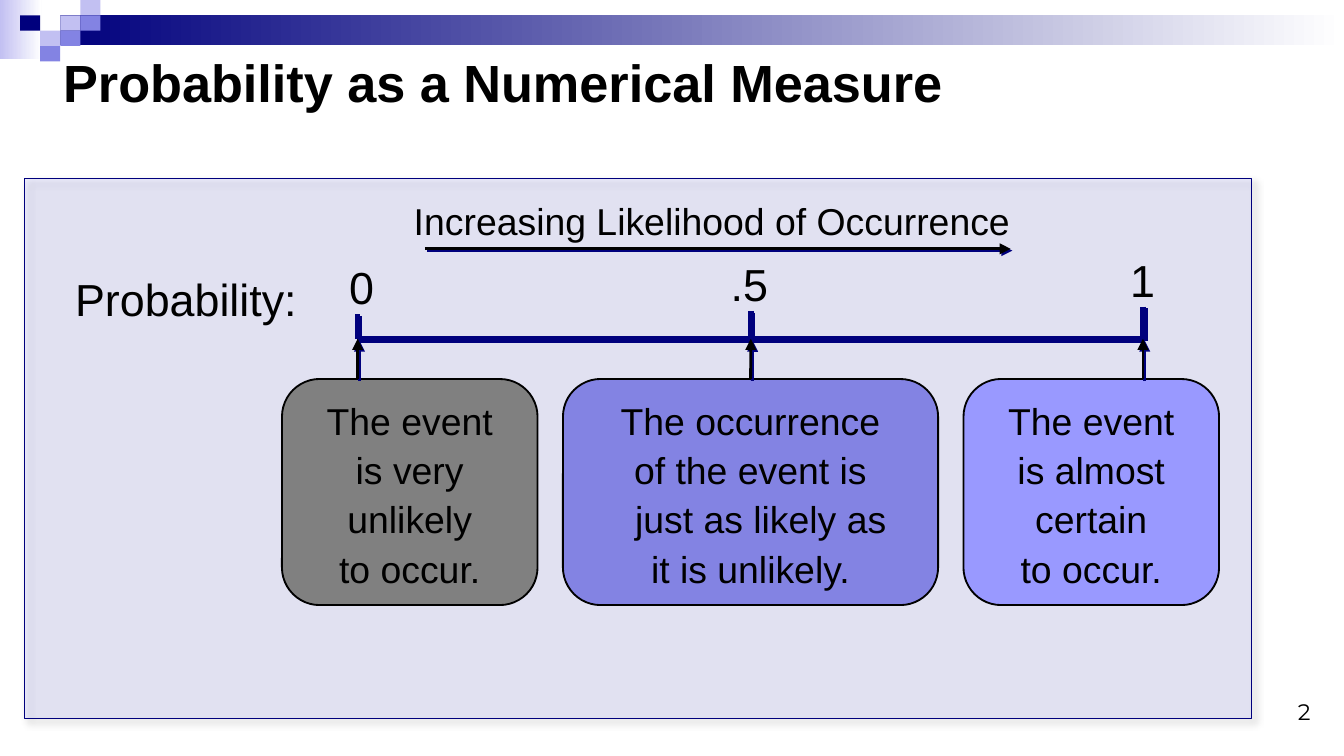
from dataclasses import dataclass
from typing import Any, NamedTuple

from lxml.etree import SubElement
from pptx import Presentation
from pptx.dml.color import RGBColor
from pptx.enum.shapes import MSO_CONNECTOR, MSO_SHAPE
from pptx.enum.text import MSO_ANCHOR, PP_ALIGN
from pptx.oxml.ns import qn
from pptx.util import Cm, Pt


@dataclass(frozen=True)
class Theme:
    navy: str = "00007D"
    pale: str = "C2C0F2"
    violet: str = "8383E3"
    lilac: str = "9999FF"
    grey: str = "808080"
    black: str = "000000"
    white: str = "FFFFFF"
    font: str = "Arial"
    number_font: str = "Montserrat"
    title_size: int = 28
    label_size: int = 24
    body_size: int = 20
    number_size: int = 12


class Box(NamedTuple):
    left: float
    top: float
    width: float
    height: float

    def lengths(self) -> list[Cm]:
        return [Cm(value) for value in self]


class Tile(NamedTuple):
    column: int
    row: int
    color: str


class Label(NamedTuple):
    text: str
    box: Box
    size: int


class Outcome(NamedTuple):
    lines: tuple[str, ...]
    width: float
    color: str
    scale_x: float
    tick_top: float
    indents: dict[int, float]


THEME = Theme()
TILE_WIDTH, TILE_HEIGHT = 0.38, 0.29
SCALE_Y = 6.4
OUTCOME_LEFT, OUTCOME_TOP, OUTCOME_HEIGHT, OUTCOME_GAP = 5.33, 7.16, 4.27, 0.48

TILES = [
    Tile(3, 1, THEME.pale),
    Tile(4, 0, THEME.pale),
    Tile(4, 1, THEME.violet),
    Tile(2, 2, THEME.pale),
    Tile(1, 1, THEME.navy),
    Tile(3, 2, THEME.violet),
    Tile(2, 3, THEME.violet),
]
LABELS = [
    Label("0", Box(6.35, 4.78, 1.22, 1.27), THEME.label_size),
    Label("1", Box(21.11, 4.65, 0.94, 1.27), THEME.label_size),
    Label(".5", Box(13.56, 4.72, 1.24, 1.27), THEME.label_size),
    Label("Increasing Likelihood of Occurrence", Box(7.57, 3.61, 11.99, 1.12), THEME.body_size),
    Label("Probability:", Box(1.17, 5, 4.95, 1.27), THEME.label_size),
]
OUTCOMES = [
    Outcome(("The event", "is very", "unlikely", "to occur."), 4.83, THEME.grey, 6.76, 5.94, {}),
    Outcome(("The occurrence", "of the event is", "just as likely as", "it is unlikely."),
            7.09, THEME.violet, 14.19, 5.87, {2: 0.39}),
    Outcome(("The event", "is almost", "certain", "to occur."), 4.83, THEME.lilac, 21.6, 5.79, {}),
]


def rgb(color: str) -> RGBColor:
    return RGBColor.from_string(color)


def apply(target: Any, values: dict[str, Any]) -> None:
    for name, value in values.items():
        setattr(target, name, value)


def add_shadow(shape: Any, color: str, opacity: int, blur: float, distance: float) -> None:
    properties = shape._element.spPr
    effects = properties.find(qn("a:effectLst"))
    if effects is None:
        effects = SubElement(properties, qn("a:effectLst"))
    shadow = SubElement(effects, qn("a:outerShdw"), blurRad=str(Pt(blur)),
                        dist=str(Pt(distance)), dir="2700000", algn="tl", rotWithShape="0")
    tint = SubElement(shadow, qn("a:srgbClr"), val=color)
    SubElement(tint, qn("a:alpha"), val=str(opacity * 1000))


def add_block(shapes: Any, box: Box, color: str, fade: bool = False,
              outline: str | None = None, weight: float = 1,
              kind: MSO_SHAPE = MSO_SHAPE.RECTANGLE) -> Any:
    block = shapes.add_shape(kind, *box.lengths())
    block.shadow.inherit = False
    if fade:
        block.fill.gradient()
        block.fill.gradient_angle = 0
        for stop, tint in zip(block.fill.gradient_stops, (color, THEME.white)):
            stop.color.rgb = rgb(tint)
    else:
        block.fill.solid()
        block.fill.fore_color.rgb = rgb(color)
    if outline:
        block.line.color.rgb = rgb(outline)
        block.line.width = Pt(weight)
    else:
        block.line.fill.background()
    return block


def add_line(shapes: Any, start: tuple[float, float], end: tuple[float, float],
             color: str, weight: float, arrow: bool = False) -> Any:
    line = shapes.add_connector(MSO_CONNECTOR.STRAIGHT,
                                *[Cm(value) for value in (*start, *end)])
    line.line.color.rgb = rgb(color)
    line.line.width = Pt(weight)
    if arrow:
        SubElement(line.line._get_or_add_ln(), qn("a:tailEnd"), type="triangle")
    add_shadow(line, THEME.navy, 100, 0, 1.4)
    return line


def write(shape: Any, lines: tuple[str, ...], size: int, font: str = THEME.font,
          bold: bool = False, frame_format: dict[str, Any] | None = None,
          paragraph_format: dict[str, Any] | None = None) -> None:
    frame = shape.text_frame
    frame.text = "\n".join(lines)
    apply(frame, {"word_wrap": True} | (frame_format or {}))
    for paragraph in frame.paragraphs:
        apply(paragraph, paragraph_format or {})
        for run in paragraph.runs:
            apply(run.font, {"name": font, "size": Pt(size), "bold": bold})
            run.font.color.rgb = rgb(THEME.black)


def draw_header(shapes: Any) -> None:
    header = shapes.add_group_shape().shapes
    add_block(header, Box(0, 0, 0.79, 1.12), THEME.pale, fade=True)
    add_block(header, Box(1.14, 0.28, 24.26, 0.58), THEME.navy, fade=True)
    for tile in TILES:
        add_block(header, Box(tile.column * TILE_WIDTH, tile.row * TILE_HEIGHT,
                              TILE_WIDTH, TILE_HEIGHT), tile.color)


def draw_panel(shapes: Any) -> None:
    panel = add_block(shapes, Box(0.46, 3.38, 23.19, 10.19), THEME.lilac,
                      outline=THEME.navy, weight=0.5)
    tint = panel._element.spPr.find(qn("a:solidFill")).find(qn("a:srgbClr"))
    SubElement(tint, qn("a:alpha"), val="16000")
    add_shadow(panel, THEME.black, 40, 4, 3)


def draw_outcomes(shapes: Any) -> None:
    left = OUTCOME_LEFT
    for outcome in OUTCOMES:
        x = outcome.scale_x
        add_line(shapes, (x, outcome.tick_top), (x, SCALE_Y), THEME.navy, 3)
        card = add_block(shapes, Box(left, OUTCOME_TOP, outcome.width, OUTCOME_HEIGHT),
                         outcome.color, outline=THEME.black, kind=MSO_SHAPE.ROUNDED_RECTANGLE)
        write(card, outcome.lines, THEME.body_size,
              frame_format={"word_wrap": False, "vertical_anchor": MSO_ANCHOR.MIDDLE},
              paragraph_format={"alignment": PP_ALIGN.CENTER, "line_spacing": 1.1})
        for index, indent in outcome.indents.items():
            properties = card.text_frame.paragraphs[index]._p.get_or_add_pPr()
            properties.set("marL", str(Cm(indent)))
        pointer = add_line(shapes, (x, OUTCOME_TOP), (x, SCALE_Y), THEME.black, 1.5, arrow=True)
        if abs(x - left - outcome.width / 2) < 0.05:
            pointer.begin_connect(card, 0)
        left += outcome.width + OUTCOME_GAP


def main() -> None:
    presentation = Presentation()
    apply(presentation, {"slide_width": Cm(25.4), "slide_height": Cm(14.28)})
    slide = presentation.slides.add_slide(presentation.slide_layouts[5])
    shapes = slide.shapes

    heading = shapes.title
    apply(heading, dict(zip(("left", "top", "width", "height"),
                            Box(0.94, 0.69, 21.59, 1.7).lengths())))
    write(heading, ("Probability as a Numerical Measure",), THEME.title_size, bold=True,
          frame_format={"vertical_anchor": MSO_ANCHOR.MIDDLE},
          paragraph_format={"alignment": PP_ALIGN.LEFT})

    draw_header(shapes)
    draw_panel(shapes)
    add_line(shapes, (8.03, 4.7), (19.1, 4.7), THEME.black, 1.5, arrow=True)
    add_line(shapes, (OUTCOMES[0].scale_x, SCALE_Y), (OUTCOMES[-1].scale_x, SCALE_Y),
             THEME.navy, 3)
    draw_outcomes(shapes)
    for label in LABELS:
        write(shapes.add_textbox(*label.box.lengths()), (label.text,), label.size)
    write(shapes.add_textbox(*Box(19.1, 12.85, 5.92, 0.97).lengths()), ("2",),
          THEME.number_size, font=THEME.number_font,
          frame_format={"vertical_anchor": MSO_ANCHOR.BOTTOM},
          paragraph_format={"alignment": PP_ALIGN.RIGHT})
    presentation.save("out.pptx")


if __name__ == "__main__":
    main()
